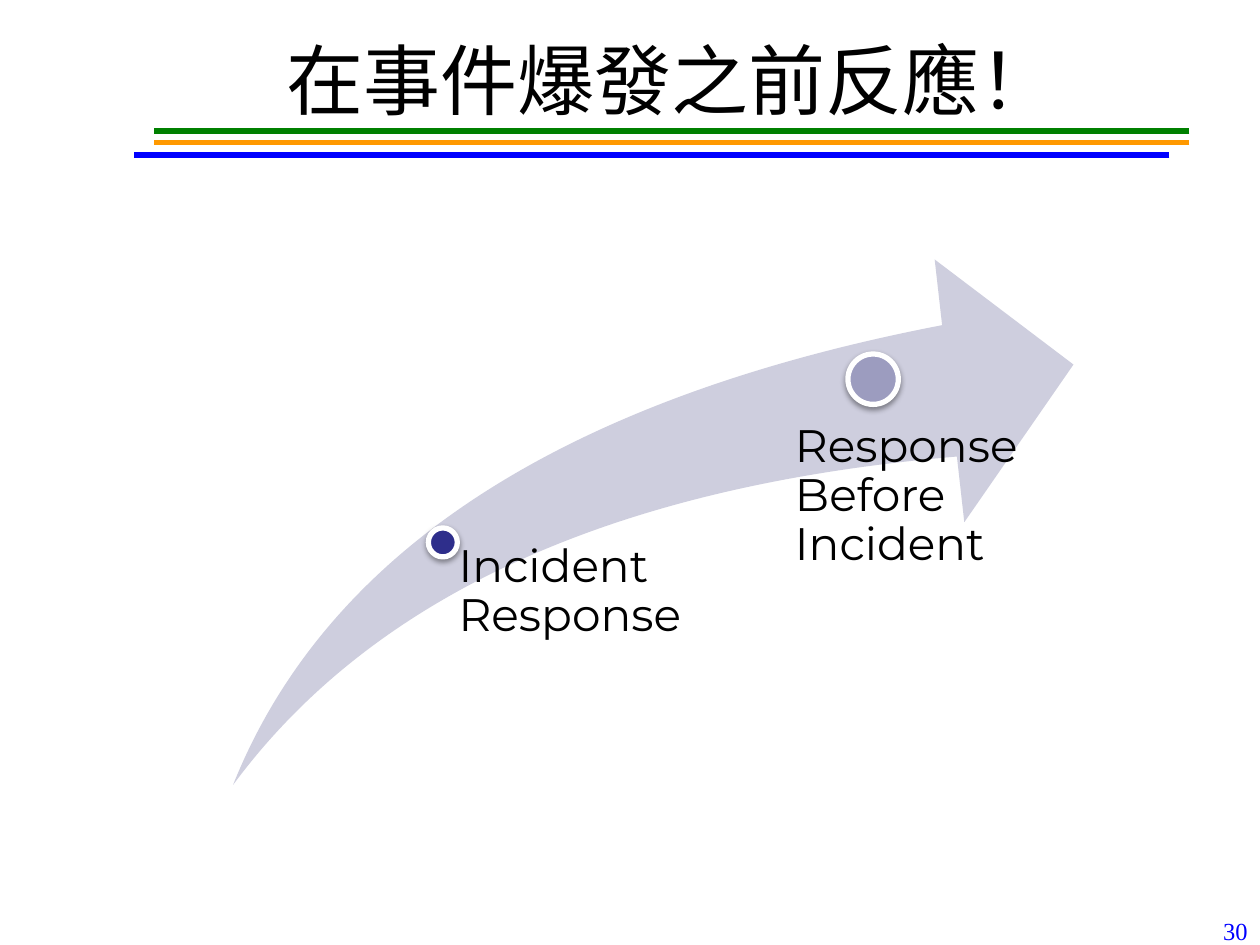
from lxml import etree
from pptx import Presentation
from pptx import util as u
from pptx.dml.color import RGBColor
from pptx.enum import shapes, text
from pptx.oxml import ns


def colour(value):
    return RGBColor.from_string(value)


def add_element(parent, tag, **attributes):
    return etree.SubElement(parent, ns.qn(tag), attributes)


class SlideBuilder:
    black = "000000"
    white = "FFFFFF"
    blue = "0000FF"
    label_font = "Montserrat"
    label_size = 26

    def __init__(self, page):
        self.page = page

    def place(self, left, top, width, height):
        return [u.Inches(value) for value in (left, top, width, height)]

    def add_span(self, para, words, font, size, ink):
        span = para.add_run()
        span.text = words
        span.font.name = font
        span.font.size = u.Pt(size)
        span.font.color.rgb = colour(ink)

    def title(self, words, *area):
        box = self.page.shapes.title
        box.left, box.top, box.width, box.height = self.place(*area)
        frame = box.text_frame
        frame.auto_size = text.MSO_AUTO_SIZE.NONE
        frame.vertical_anchor = text.MSO_ANCHOR.MIDDLE
        para = frame.paragraphs[0]
        para.alignment = text.PP_ALIGN.CENTER
        self.add_span(para, words, "Arial", 44, self.black)

    def rule(self, left, top, length, ink):
        line = self.page.shapes.add_connector(
            shapes.MSO_CONNECTOR.STRAIGHT,
            u.Inches(left + length), u.Inches(top), u.Inches(left), u.Inches(top))
        line.line.color.rgb = colour(ink)
        line.line.width = u.Pt(3)
        add_element(line._element.spPr, "a:effectLst")

    def shape(self, kind, area, fill):
        shape = self.page.shapes.add_shape(kind, *self.place(*area))
        shape.shadow.inherit = False
        shape.fill.solid()
        shape.fill.fore_color.rgb = colour(fill)
        shape.line.fill.background()
        return shape

    def swoosh(self, fill, *area):
        arrow = self.shape(shapes.MSO_SHAPE.SWOOSH_ARROW, area, fill)
        arrow.adjustments[0] = 0.25
        arrow.adjustments[1] = 0.25

    def marker(self, fill, left, top, size):
        dot = self.shape(shapes.MSO_SHAPE.OVAL, (left, top, size, size), fill)
        dot.line.color.rgb = colour(self.white)
        dot.line.width = u.Pt(3)
        effects = dot._element.spPr.find(ns.qn("a:effectLst"))
        shadow = add_element(
            effects, "a:outerShdw", blurRad=str(u.Pt(3.1)), dist=str(u.Pt(1.6)),
            dir="5400000", rotWithShape="0")
        shade = add_element(shadow, "a:srgbClr", val=self.black)
        add_element(shade, "a:alpha", val="38000")

    def label(self, lines, inset, *area):
        box = self.page.shapes.add_textbox(*self.place(*area))
        frame = box.text_frame
        frame.word_wrap = True
        frame.margin_left = u.Inches(inset)
        frame.margin_top = frame.margin_right = frame.margin_bottom = 0
        para = frame.paragraphs[0]
        para.line_spacing = 0.9
        for number, words in enumerate(lines):
            if number:
                para.add_line_break()
            self.add_span(para, words, self.label_font, self.label_size, self.black)

    def page_number(self, words, *area):
        box = self.page.shapes.add_textbox(*self.place(*area))
        box.text_frame.word_wrap = True
        para = box.text_frame.paragraphs[0]
        para.alignment = text.PP_ALIGN.RIGHT
        self.add_span(para, words, "Times New Roman", 14, self.blue)


def main():
    deck = Presentation()
    deck.slide_width = u.Inches(10)
    deck.slide_height = u.Inches(7.5)
    builder = SlideBuilder(deck.slides.add_slide(deck.slide_layouts[5]))

    for left, top, ink in ((1.22, 1.13, "FF9900"),
                           (1.06, 1.23, builder.blue),
                           (1.22, 1.04, "008000")):
        builder.rule(left, top, 8.22, ink)
    builder.title("在事件爆發之前反應！", 0.83, 0, 9, 1.25)
    builder.page_number("30", 7.67, 7.22, 2.33, 0.24)

    builder.swoosh("CECEDE", 1.85, 2.06, 6.67, 4.17)
    builder.marker("2E2E8B", 3.4, 4.19, 0.23)
    builder.label(["Incident", "Response"], 0.12, 3.52, 4.31, 2.17, 1.78)
    builder.marker("9C9CBF", 6.73, 2.81, 0.4)
    builder.label(["Response", "Before", "Incident"], 0.21, 6.1, 3.36, 2.17, 2.76)

    deck.save("out.pptx")


if __name__ == "__main__":
    main()
